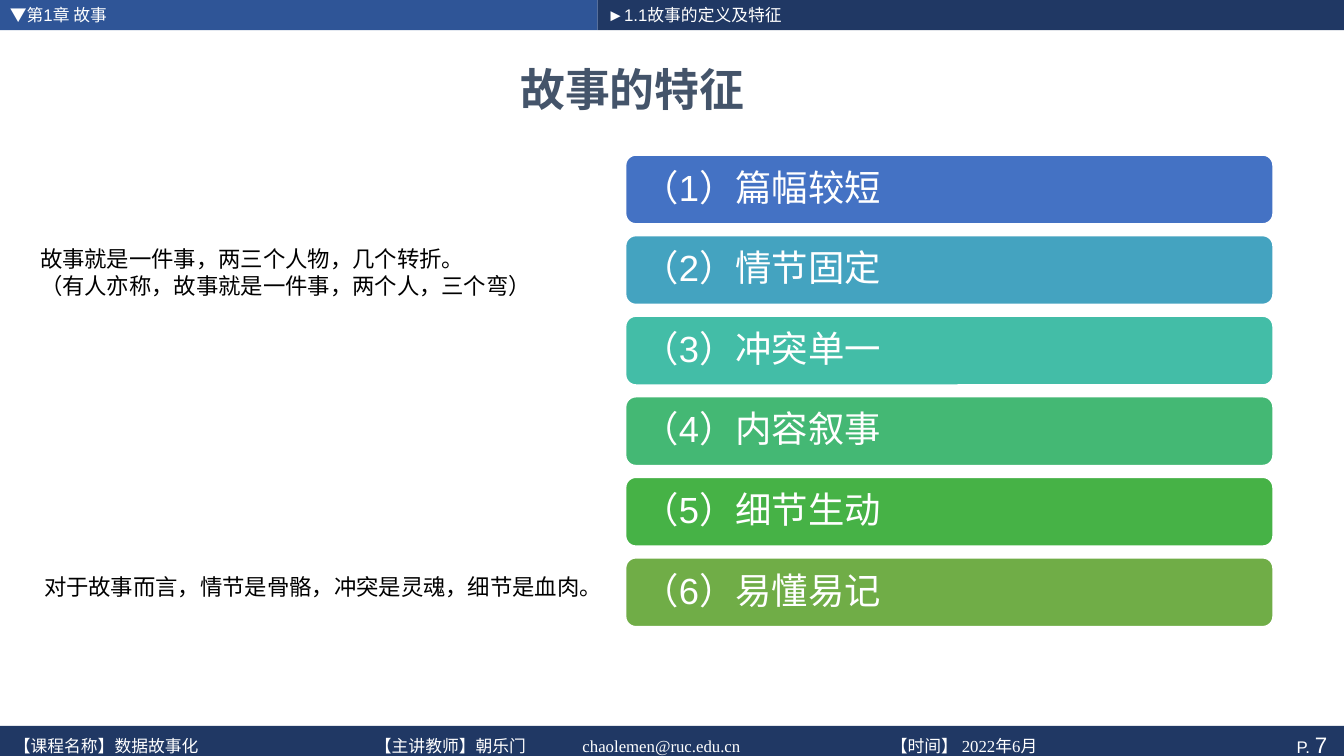
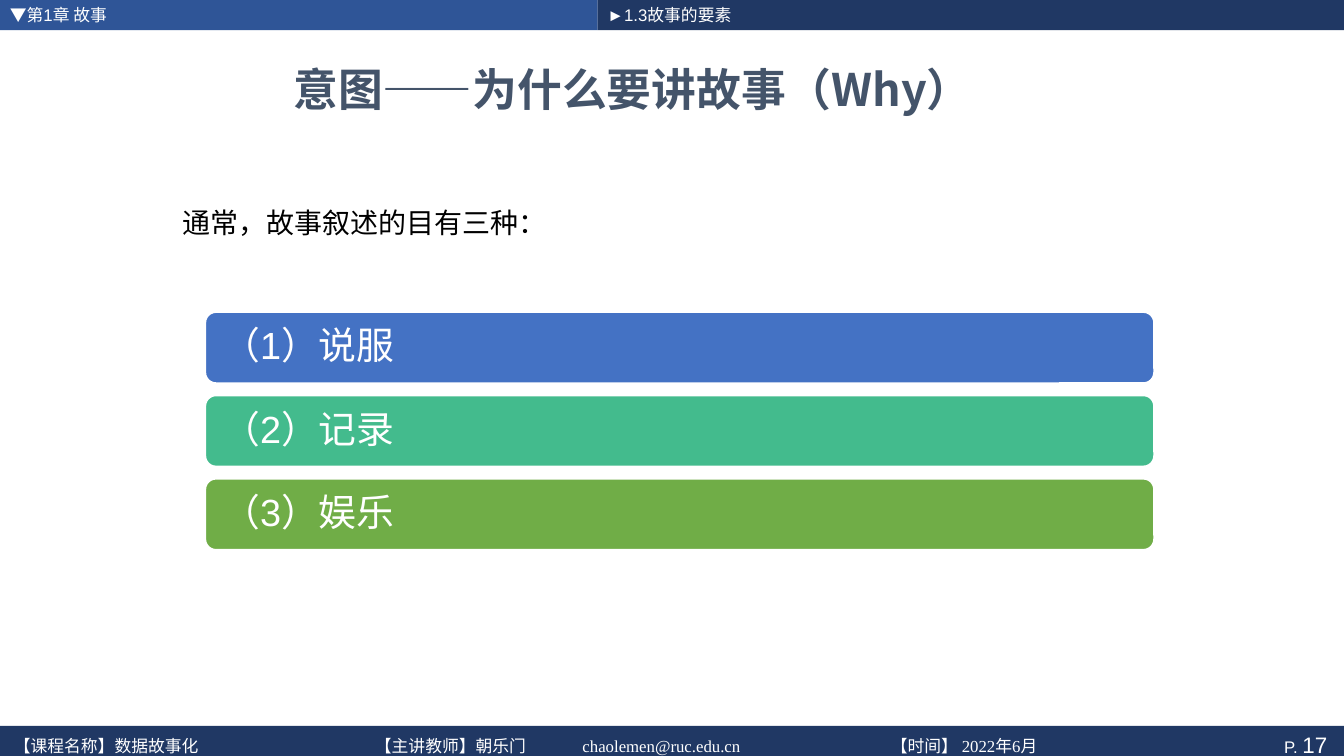
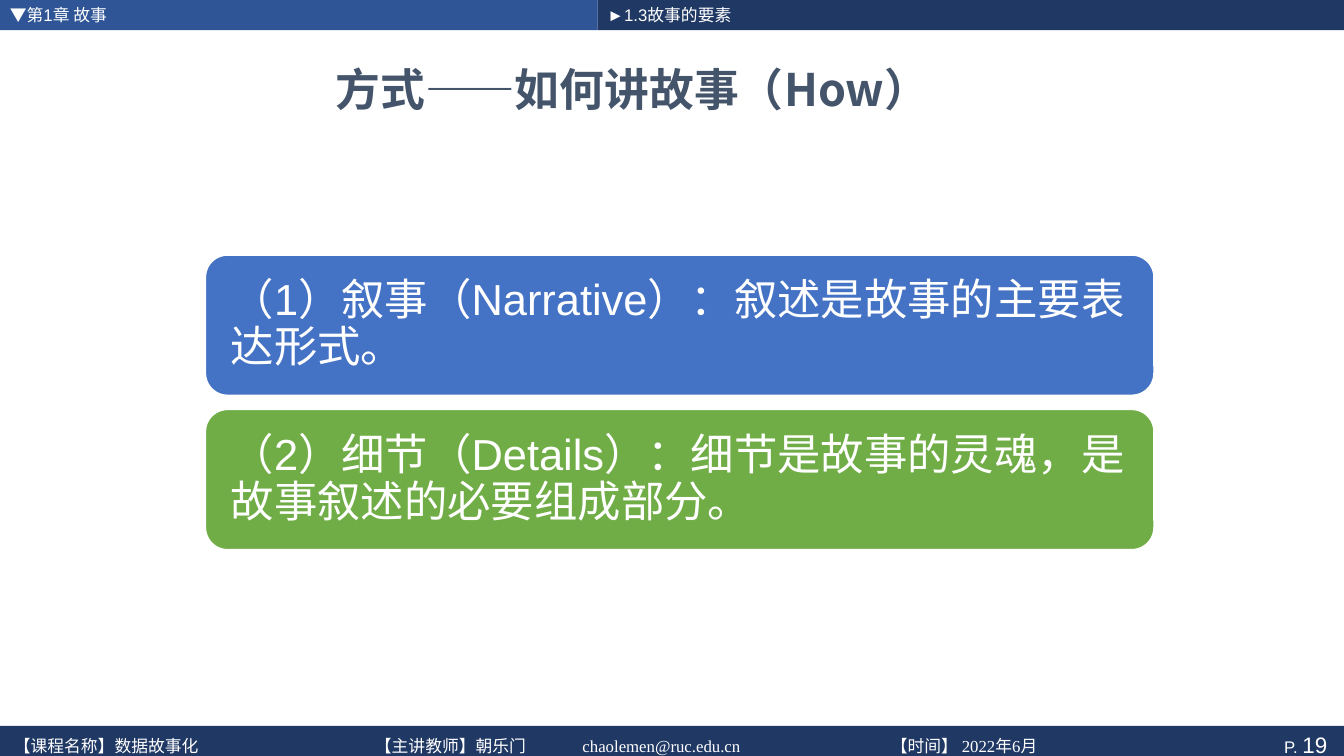
from lxml import etree
from pptx import Presentation
from pptx.dml.color import RGBColor
from pptx.enum import shapes, text
from pptx.oxml import ns
from pptx.util import Cm, Pt

WHITE = RGBColor(0xFF, 0xFF, 0xFF)
BLACK = RGBColor(0, 0, 0)
SLATE = RGBColor(0x44, 0x54, 0x6A)
NAVY = RGBColor(0x20, 0x38, 0x64)
BLUE = RGBColor(0x2F, 0x55, 0x97)
AZURE = RGBColor(0x44, 0x72, 0xC4)
CYAN = RGBColor(0x44, 0xA3, 0xC0)
TEAL = RGBColor(0x43, 0xBD, 0xA7)
MINT = RGBColor(0x43, 0xBB, 0x8D)
JADE = RGBColor(0x44, 0xB8, 0x74)
GREEN = RGBColor(0x46, 0xB2, 0x46)
OLIVE = RGBColor(0x70, 0xAD, 0x47)

BODY_FONT = "Arial"
TITLE_FONT = "Noto Sans CJK SC"
FOOTER_FONT = "Times New Roman"

SLIDE_W, SLIDE_H = 33.87, 19.05
TAB_SPLIT, TAB_H = 15.06, 0.76
FOOTER_TOP = 18.29
CHAPTER = "▼第1章 故事"
FOOTER = "\t".join(["【课程名称】数据故事化", "【主讲教师】朝乐门",
                    "chaolemen@ruc.edu.cn", "【时间】 2022年6月"])
FOOTER_STOPS = (9.1, 14.33, 22.1)


def style(paragraph, size, color, font=BODY_FONT, bold=False):
    paragraph.font.name = font
    paragraph.font.size = Pt(size)
    paragraph.font.bold = bold
    paragraph.font.color.rgb = color


def add_box(slide, preset, box, fill):
    shape = slide.shapes.add_shape(preset, *map(Cm, box))
    shape.shadow.inherit = False
    shape.fill.solid()
    shape.fill.fore_color.rgb = fill
    shape.line.fill.background()
    frame = shape.text_frame
    frame.word_wrap = True
    frame.vertical_anchor = text.MSO_ANCHOR.MIDDLE
    frame.paragraphs[0].alignment = text.PP_ALIGN.LEFT
    return shape


def add_text(slide, box, lines, size, color=BLACK, font=BODY_FONT, bold=False):
    frame = slide.shapes.add_textbox(*map(Cm, box)).text_frame
    frame.word_wrap = True
    frame.text = "\n".join(lines)
    for paragraph in frame.paragraphs:
        style(paragraph, size, color, font, bold)
    return frame


def add_tab(slide, left, width, fill, label):
    band = add_box(slide, shapes.MSO_SHAPE.RECTANGLE, (left, 0, width, TAB_H), fill)
    paragraph = band.text_frame.paragraphs[0]
    paragraph.text = label
    style(paragraph, 12, WHITE)


def add_footer(slide, number):
    band = add_box(slide, shapes.MSO_SHAPE.RECTANGLE,
                   (0, FOOTER_TOP, SLIDE_W, 0.94), NAVY)
    band.text_frame.margin_right = Cm(0.42)
    page = band.text_frame.paragraphs[0]
    page.alignment = text.PP_ALIGN.RIGHT
    style(page, 12, WHITE)
    page.add_run().text = "P. "
    digits = page.add_run()
    digits.text = str(number)
    digits.font.size = Pt(16)

    # Course details, set on tab stops
    frame = slide.shapes.add_textbox(
        Cm(0.1), Cm(FOOTER_TOP + 0.13), Cm(29.8), Cm(0.79)).text_frame
    frame.word_wrap = True
    details = frame.paragraphs[0]
    stops = etree.SubElement(details._p.get_or_add_pPr(), ns.qn("a:tabLst"))
    for stop in FOOTER_STOPS:
        etree.SubElement(stops, ns.qn("a:tab"), pos=str(Cm(stop)), algn="l")
    style(details, 12, WHITE, FOOTER_FONT)
    details.add_run().text = FOOTER


def add_page(deck, number, section, title):
    """Blank slide with the shared bands, footer and title."""
    slide = deck.slides.add_slide(deck.slide_layouts[6])
    add_tab(slide, 0, TAB_SPLIT, BLUE, CHAPTER)
    add_tab(slide, TAB_SPLIT, SLIDE_W - TAB_SPLIT, NAVY, section)
    add_footer(slide, number)
    heading = add_text(slide, (1.12, 1.09, 29.64, 2.29), [title], 32,
                       SLATE, TITLE_FONT, True)
    heading.vertical_anchor = text.MSO_ANCHOR.MIDDLE
    heading.paragraphs[0].alignment = text.PP_ALIGN.CENTER
    return slide


def add_bars(slide, box, gap, size, inset, items):
    """Equal rounded bars stacked down the box, numbered from one."""
    left, top, width, height = box
    bar_h = (height - gap * (len(items) - 1)) / len(items)
    for i, (label, fill) in enumerate(items):
        bar = add_box(slide, shapes.MSO_SHAPE.ROUNDED_RECTANGLE,
                      (left, top + i * (bar_h + gap), width, bar_h), fill)
        bar.line.color.rgb = WHITE
        bar.line.width = Pt(3.75)
        frame = bar.text_frame
        frame.margin_left = frame.margin_right = Cm(inset)
        paragraph = frame.paragraphs[0]
        paragraph.text = f"（{i + 1}）{label}"
        paragraph.line_spacing = 0.9
        style(paragraph, size, WHITE)


def main():
    deck = Presentation()
    deck.slide_width, deck.slide_height = Cm(SLIDE_W), Cm(SLIDE_H)

    # Features of a story
    features = add_page(deck, 7, "►1.1故事的定义及特征", "故事的特征")
    add_bars(features, (15.72, 3.86, 16.41, 11.98), 0.2, 26, 0.38, [
        ("篇幅较短", AZURE), ("情节固定", CYAN), ("冲突单一", TEAL),
        ("内容叙事", JADE), ("细节生动", GREEN), ("易懂易记", OLIVE)])
    add_text(features, (0.76, 6.05, 13.59, 1.63),
             ["故事就是一件事，两三个人物，几个转折。",
              "（有人亦称，故事就是一件事，两个人，三个弯）"], 16)
    add_text(features, (0.86, 14.33, 14.22, 0.94),
             ["对于故事而言，情节是骨骼，冲突是灵魂，细节是血肉。"], 16)

    # Why stories are told
    purpose = add_page(deck, 17, "►1.3故事的要素", "意图——为什么要讲故事（Why）")
    add_text(purpose, (4.34, 5.05, 13.59, 1.12), ["通常，故事叙述的目有三种："], 20)
    add_bars(purpose, (5.13, 7.82, 24, 6.08), 0.22, 27, 0.38,
             [("说服", AZURE), ("记录", MINT), ("娱乐", OLIVE)])

    # How stories are told
    method = add_page(deck, 19, "►1.3故事的要素", "方式——如何讲故事（How）")
    add_bars(method, (5.13, 6.38, 24, 7.52), 0.26, 31, 0.51, [
        ("叙事（Narrative）：叙述是故事的主要表达形式。", AZURE),
        ("细节（Details）：细节是故事的灵魂，是故事叙述的必要组成部分。", OLIVE)])

    deck.save("out.pptx")


if __name__ == "__main__":
    main()
